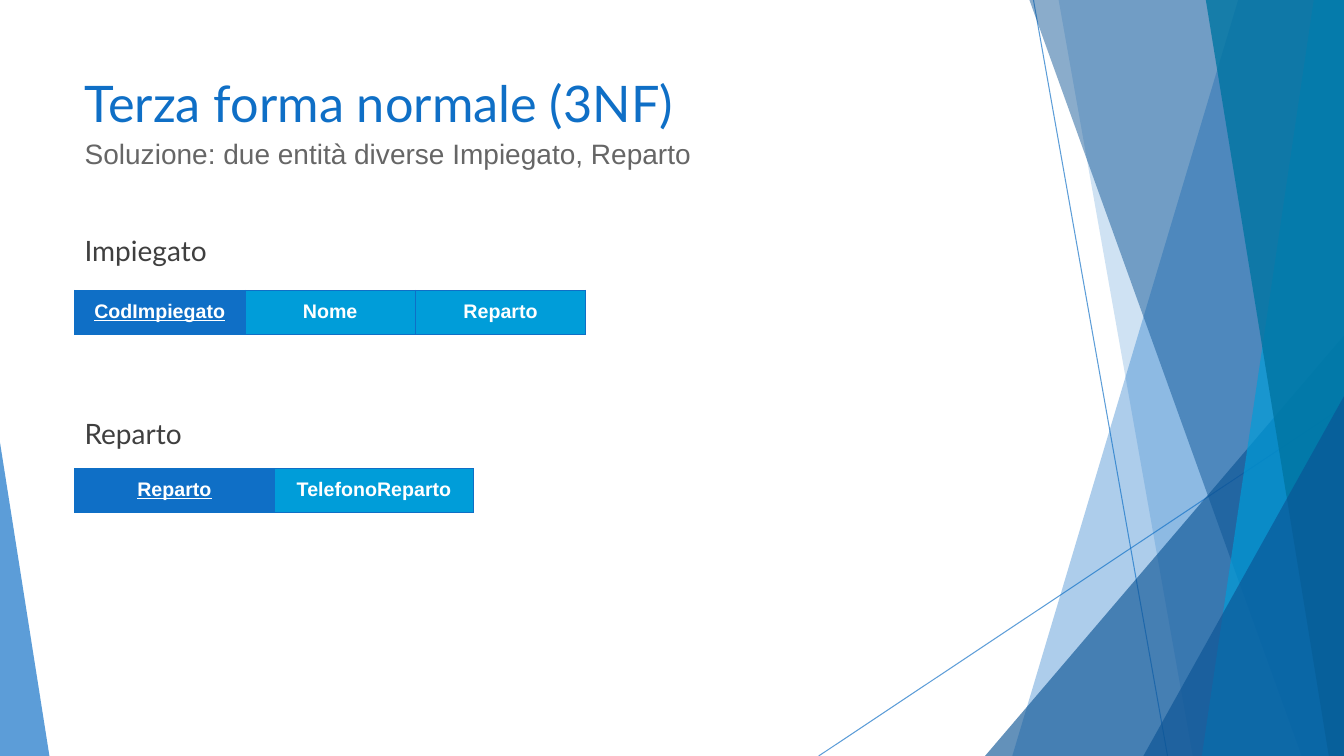
"""Build the slide on third normal form with its two entity tables."""
from lxml import etree
from pptx import Presentation
from pptx.dml.color import RGBColor
from pptx.enum.shapes import MSO_CONNECTOR, MSO_SHAPE
from pptx.enum.text import MSO_ANCHOR, PP_ALIGN
from pptx.oxml.ns import qn
from pptx.util import Inches, Pt

STRAIGHT = MSO_CONNECTOR.STRAIGHT
TRIANGLE = MSO_SHAPE.ISOSCELES_TRIANGLE
TOP = MSO_ANCHOR.TOP
CENTER = PP_ALIGN.CENTER

BLUE = RGBColor(0x0F, 0x6F, 0xC6)
NAVY = RGBColor(0x0B, 0x53, 0x94)
CYAN = RGBColor(0x00, 0x9D, 0xD9)
TEAL = RGBColor(0x00, 0x75, 0xA2)
GRAY = RGBColor(0x66, 0x66, 0x66)
DARK = RGBColor(0x3F, 0x3F, 0x3F)
WHITE = RGBColor(0xFF, 0xFF, 0xFF)

WIDTH, HEIGHT = 13.33, 7.5
LEFT = 0.74


def set_alpha(parent, percent):
    color = next(parent.iter(qn("a:srgbClr")))
    etree.SubElement(color, qn("a:alpha")).set("val", str(percent * 1000))


def style_run(r, text, font, size, color):
    r.text = text
    r.font.name = font
    r.font.size = Pt(size)
    r.font.color.rgb = color


prs = Presentation()
prs.slide_width, prs.slide_height = Inches(WIDTH), Inches(HEIGHT)
s = prs.slides.add_slide(prs.slide_layouts[6])

for x1, y1, x2, y2 in [(10.25, 0, 11.58, HEIGHT), (WIDTH, 4.03, 8.12, HEIGHT)]:
    line = s.shapes.add_connector(STRAIGHT, Inches(x1), Inches(y1), Inches(x2), Inches(y2))
    line.line.color.rgb = BLUE
    line.line.width = Pt(0.75)
    sp_pr = line._element.spPr
    set_alpha(sp_pr, 68)
    etree.SubElement(sp_pr, qn("a:effectLst"))

# Bands give top x and bottom x; triangles give left, top, width and apex.
facets = [
    ("band", (12.28, 10.04), BLUE, 34),
    ("band", (10.5, 11.83), BLUE, 20),
    ("triangle", (9.77, 3.33, 3.56, 1), NAVY, 64),
    ("band", (10.21, 12.91), NAVY, 48),
    ("band", (13.03, 11.92), CYAN, 68),
    ("band", (11.96, 13.18), TEAL, 80),
    ("triangle", (11.34, 3.93, 1.99, 1), NAVY, 64),
    ("triangle", (0, 4.39, 0.49, 0), BLUE, 68),
]
for kind, place, color, alpha in facets:
    if kind == "band":
        top_x, bottom_x = place
        outline = s.shapes.build_freeform(Inches(top_x), 0)
        corners = [(WIDTH, 0), (WIDTH, HEIGHT), (bottom_x, HEIGHT)]
        outline.add_line_segments([(Inches(x), Inches(y)) for x, y in corners])
        sp = outline.convert_to_shape()
    else:
        x, y, w, apex = place
        sp = s.shapes.add_shape(TRIANGLE, Inches(x), Inches(y), Inches(w), Inches(HEIGHT - y))
        sp.adjustments[0] = apex
    sp.shadow.inherit = False
    sp.line.fill.background()
    sp.fill.solid()
    sp.fill.fore_color.rgb = color
    set_alpha(sp._element.spPr, alpha)

texts = [
    ("Terza forma normale (3NF)", LEFT, 0.67, 9.4, 1.44, 0.1, "Lato", 36, BLUE),
    ("Soluzione: due entità diverse Impiegato, Reparto", 0.24, 1.31, 9.4, 1.44, 0.6, "Arial", 20, GRAY),
    ("Impiegato", LEFT, 2.27, 1.56, 0.69, 0.1, "Lato", 20, DARK),
    ("Reparto", LEFT, 4.08, 1.56, 0.69, 0.1, "Lato", 20, DARK),
]
for text, x, y, w, h, inset, font, size, color in texts:
    tf = s.shapes.add_textbox(Inches(x), Inches(y), Inches(w), Inches(h)).text_frame
    tf.word_wrap = True
    tf.vertical_anchor = TOP
    tf.margin_left = Inches(inset)
    style_run(tf.paragraphs[0].add_run(), text, font, size, color)

entities = [
    (2.88, 1.69, ["CodImpiegato", "Nome", "Reparto"]),
    (4.65, 1.98, ["Reparto", "TelefonoReparto"]),
]
for y, col_width, fields in entities:
    table = s.shapes.add_table(1, len(fields), Inches(LEFT), Inches(y),
                               Inches(col_width * len(fields)), Inches(0.42)).table
    table.first_row = table.horz_banding = False
    for i, field in enumerate(fields):
        is_key = i == 0
        table.columns[i].width = Inches(col_width)
        cell = table.cell(0, i)
        cell.margin_left = cell.margin_right = Inches(0.1)
        cell.margin_top = cell.margin_bottom = Inches(0.1)
        cell.fill.solid()
        cell.fill.fore_color.rgb = BLUE if is_key else CYAN
        p = cell.text_frame.paragraphs[0]
        p.alignment = CENTER
        r = p.add_run()
        style_run(r, field, "Arial", 14, WHITE)
        r.font.bold = True
        r.font.underline = is_key
        tc_pr = cell._tc.get_or_add_tcPr()
        for n, side in enumerate(["a:lnL", "a:lnR", "a:lnT", "a:lnB"]):
            border = etree.Element(qn(side), w=str(Pt(0.75)))
            fill = etree.SubElement(border, qn("a:solidFill"))
            etree.SubElement(fill, qn("a:srgbClr"), val=str(BLUE))
            tc_pr.insert(n, border)

prs.save("out.pptx")
